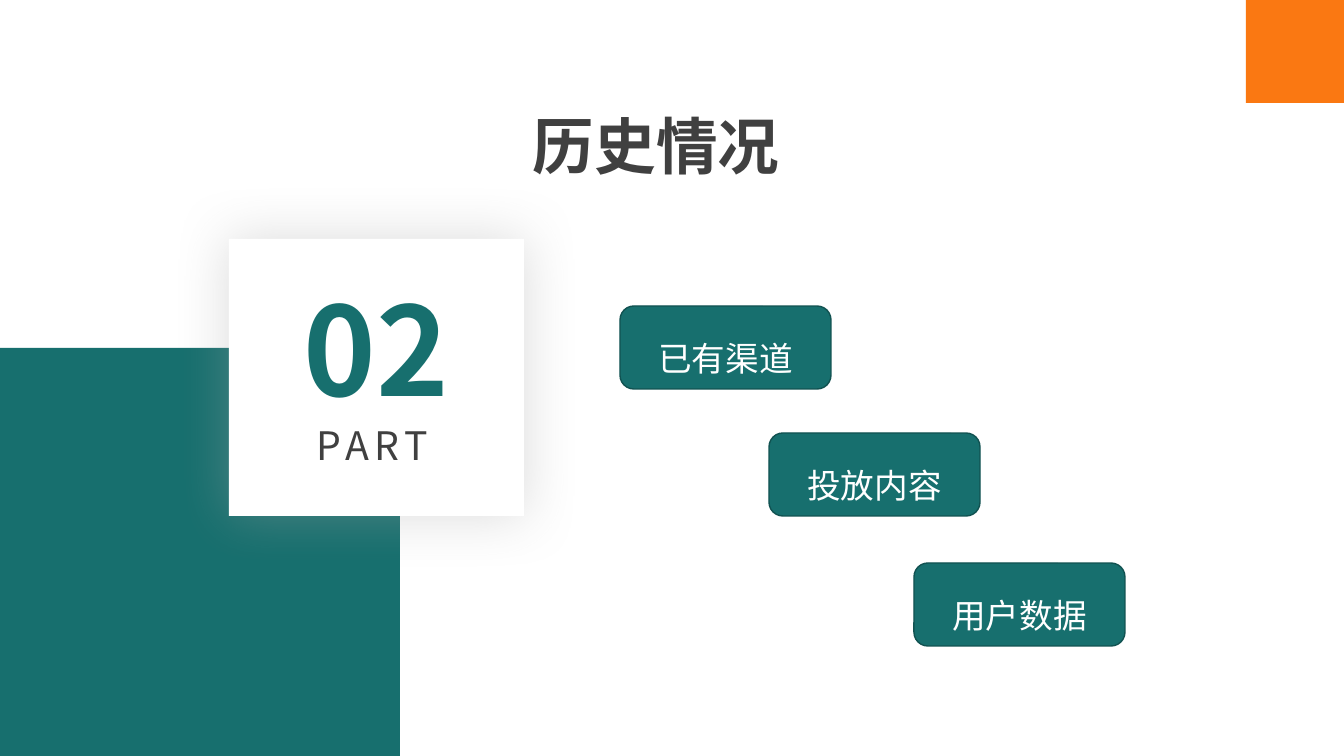
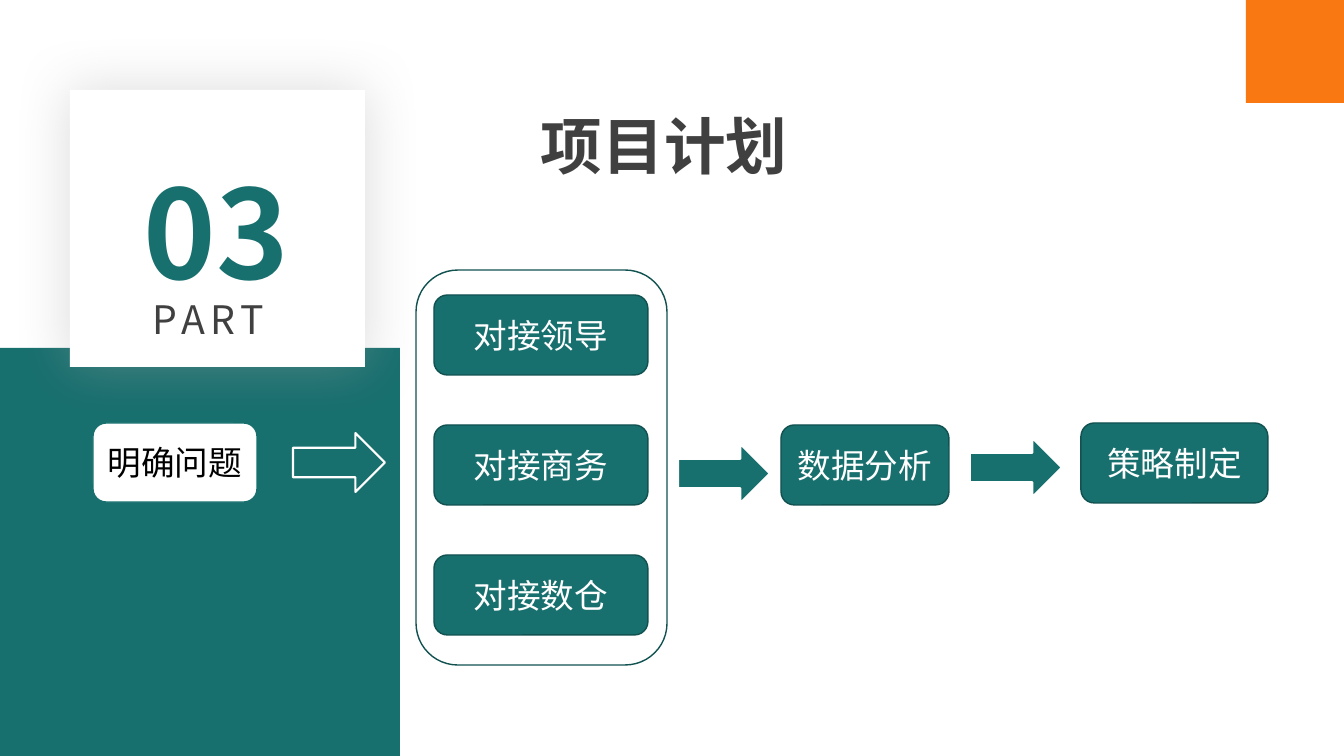
from lxml import etree
from pptx import Presentation
from pptx.dml.color import RGBColor
from pptx.enum.shapes import MSO_SHAPE
from pptx.enum.text import MSO_ANCHOR, PP_ALIGN
from pptx.oxml.ns import qn
from pptx.util import Pt

RECTANGLE = MSO_SHAPE.RECTANGLE
ROUNDED = MSO_SHAPE.ROUNDED_RECTANGLE
ARROW = MSO_SHAPE.RIGHT_ARROW
MIDDLE = MSO_ANCHOR.MIDDLE
LEFT, CENTER = PP_ALIGN.LEFT, PP_ALIGN.CENTER

SCALE = 12192000 / 1344
TEAL, DARK_TEAL, ORANGE = "176F6E", "115251", "FA7812"
WHITE, BLACK, GREY, SHADOW = "FFFFFF", "000000", "404040", "A6A6A6"
BODY_FONT, TITLE_FONT = "Noto Sans CJK SC", "Noto Sans CJK JP"


def add_box(slide, kind, box, fill, line=None, line_width=1):
    shape = slide.shapes.add_shape(kind, *(round(value * SCALE) for value in box))
    shape.shadow.inherit = False
    if fill:
        shape.fill.solid()
        shape.fill.fore_color.rgb = RGBColor.from_string(fill)
    else:
        shape.fill.background()
    if line:
        shape.line.color.rgb = RGBColor.from_string(line)
        shape.line.width = Pt(line_width)
    else:
        shape.line.fill.background()
    return shape


def write(shape, text, size, color, align=LEFT, bold=False, name=BODY_FONT, tracking=0):
    shape.text_frame.word_wrap = True
    paragraph = shape.text_frame.paragraphs[0]
    paragraph.text = text
    paragraph.alignment = align
    font = paragraph.font
    font.size = Pt(size)
    font.bold = bold
    font.name = name
    font.color.rgb = RGBColor.from_string(color)
    properties = paragraph._p.pPr.find(qn("a:defRPr"))
    etree.SubElement(properties, qn("a:ea"), typeface=name)
    if tracking:
        properties.set("spc", str(tracking * 100))
    return paragraph


presentation = Presentation()
presentation.slide_width = round(1344 * SCALE)
presentation.slide_height = round(756 * SCALE)

sections = [
    ("02", "历史情况", (229, 239), (294, 268), (307, 416), (523, 103, 274, 85)),
    ("03", "项目计划", (70, 90), (134, 151), (143, 290), (531, 103, 282, 85)),
]
slides = []
for number, title, card_at, number_at, part_at, title_box in sections:
    slide = presentation.slides.add_slide(presentation.slide_layouts[6])
    slides.append(slide)
    add_box(slide, RECTANGLE, (0, 348, 400, 408), TEAL)
    card = add_box(slide, RECTANGLE, (*card_at, 295, 277), WHITE)
    effects = card._element.spPr.find(qn("a:effectLst"))
    glow = etree.SubElement(effects, qn("a:outerShdw"), blurRad=str(Pt(40)), algn="ctr", rotWithShape="0")
    glow_color = etree.SubElement(glow, qn("a:srgbClr"), val=SHADOW)
    etree.SubElement(glow_color, qn("a:alpha"), val="40000")
    add_box(slide, RECTANGLE, (1246, 0, 98, 103), ORANGE)

    labels = [
        ((*number_at, 167, 159), number, 88, TEAL, True, BODY_FONT, 0),
        ((*part_at, 150, 57), "PART", 28, GREY, False, BODY_FONT, 4),
        (title_box, title, 44, GREY, True, TITLE_FONT, 0),
    ]
    for box, text, size, color, bold, name, tracking in labels:
        text_box = slide.shapes.add_textbox(*(round(value * SCALE) for value in box))
        write(text_box, text, size, color, LEFT, bold, name, tracking)

history_slide, plan_slide = slides

topics = [("已有渠道", 620, 306), ("投放内容", 769, 433), ("用户数据", 914, 563)]
for text, left, top in topics:
    topic = add_box(history_slide, ROUNDED, (left, top, 211, 83), TEAL, DARK_TEAL)
    topic.text_frame.vertical_anchor = MIDDLE
    write(topic, text, 24, WHITE, CENTER).line_spacing = 1.5

steps = [
    ("明确问题", (93, 423, 164, 79), WHITE, TEAL, BLACK),
    ("数据分析", (781, 425, 168, 80), TEAL, DARK_TEAL, WHITE),
    ("策略制定", (1081, 423, 187, 80), TEAL, DARK_TEAL, WHITE),
]
for index, text in enumerate(["对接领导", "对接商务", "对接数仓"]):
    steps.append((text, (434, 295 + 130 * index, 214, 80), TEAL, DARK_TEAL, WHITE))
for text, box, fill, line, color in steps:
    step = add_box(plan_slide, ROUNDED, box, fill, line)
    step.text_frame.vertical_anchor = MIDDLE
    write(step, text, 24, color, CENTER)

add_box(plan_slide, ROUNDED, (416, 270, 251, 395), None, DARK_TEAL)
for left, top in [(293, 433), (678, 444), (970, 438)]:
    add_box(plan_slide, ARROW, (left, top, 92, 59), TEAL, WHITE, 1.5)

presentation.save("out.pptx")
